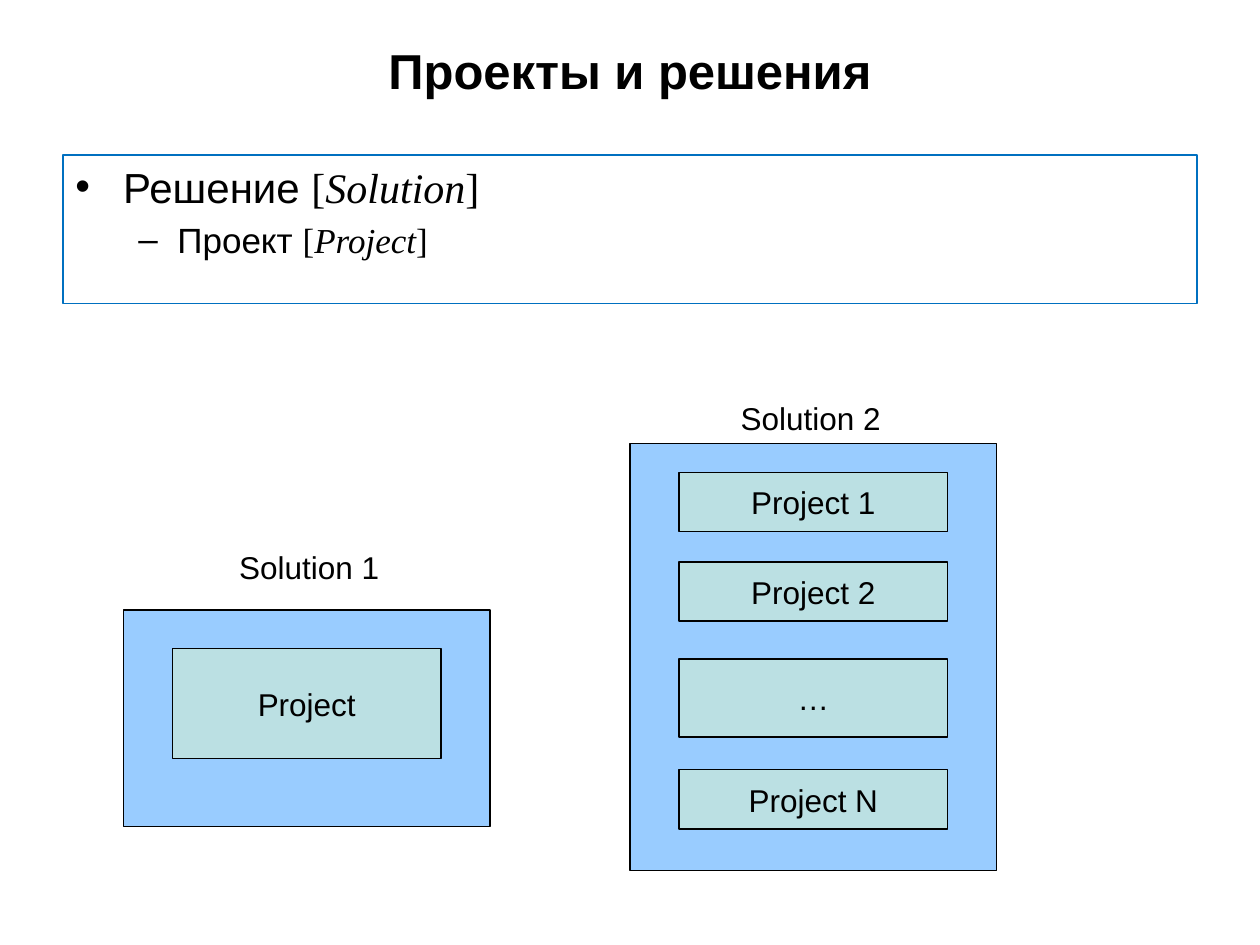
from lxml.etree import SubElement as Sub
from pptx import Presentation as Deck
from pptx.dml.color import RGBColor as Color
from pptx.enum.shapes import MSO_SHAPE as Kind
from pptx.enum.text import MSO_ANCHOR as Anchor, PP_ALIGN as Align
from pptx.oxml.ns import qn
from pptx.util import Inches, Pt

BLACK = Color(0x00, 0x00, 0x00)
BLUE = Color(0x00, 0x70, 0xC0)
SKY = Color(0x99, 0xCC, 0xFF)
TEAL = Color(0xBB, 0xE0, 0xE3)
SANS, SERIF = "Arial", "Times New Roman"


class Page:
    """Holds the text style and the slide being filled."""

    def __init__(self, slide):
        self.slide = slide
        self.size = 18

    def run(self, para, text, size=None, font=SANS, bold=False, slant=False):
        run = para.add_run()
        run.text = text
        face = run.font
        face.name, face.size = font, Pt(size or self.size)
        face.bold, face.italic = bold, slant
        face.color.rgb = BLACK

    def label(self, text, x, y, w, h, size=None, bold=False,
              align=Align.LEFT, anchor=Anchor.TOP, wrap=False):
        frame = self.slide.shapes.add_textbox(*map(Inches, (x, y, w, h))).text_frame
        frame.word_wrap = wrap
        frame.vertical_anchor = anchor
        para = frame.paragraphs[0]
        para.alignment = align
        self.run(para, text, size, bold=bold)

    def box(self, x, y, w, h, fill=None, line=BLACK, text=None):
        box = self.slide.shapes.add_shape(Kind.RECTANGLE, *map(Inches, (x, y, w, h)))
        box.shadow.inherit = False
        if fill is None:
            box.fill.background()
        else:
            box.fill.solid()
            box.fill.fore_color.rgb = fill
        box.line.color.rgb = line
        box.line.width = Pt(0.75)
        frame = box.text_frame
        if text:
            frame.word_wrap = False
            frame.vertical_anchor = Anchor.MIDDLE
            para = frame.paragraphs[0]
            para.alignment = Align.CENTER
            self.run(para, text)
        return frame

    def item(self, para, level, mark, left, hang, size, name, term):
        para.level = level
        para.alignment = Align.LEFT
        para.space_before = Pt(size * 0.2)
        props = para._p.get_or_add_pPr()
        props.set("marL", str(Inches(left)))
        props.set("indent", str(-Inches(hang)))
        Sub(props, qn("a:buFont"), typeface=SANS)
        Sub(props, qn("a:buChar"), char=mark)
        self.run(para, name + " ", size)
        for text, slant in (("[", False), (term, True), ("]", False)):
            self.run(para, text, size, SERIF, slant=slant)


def main():
    deck = Deck()
    deck.slide_width, deck.slide_height = Inches(10), Inches(7.5)
    page = Page(deck.slides.add_slide(deck.slide_layouts[6]))

    page.label("Проекты и решения", 0.5, 0.13, 9, 0.85, 28, True,
               Align.CENTER, Anchor.MIDDLE, True)

    body = page.box(0.5, 1.23, 9, 1.18, line=BLUE)
    body.word_wrap = True
    body.vertical_anchor = Anchor.TOP
    page.item(body.paragraphs[0], 0, "•", 0.38, 0.38, 24, "Решение", "Solution")
    page.item(body.add_paragraph(), 1, "–", 0.81, 0.31, 20, "Проект", "Project")

    groups = (
        ("Solution 1", 1.8, 4.3, 0.98, 4.84, 1.72, (("Project", 5.15, 0.87),)),
        ("Solution 2", 5.78, 3.12, 5, 3.52, 3.39,
         (("Project 1", 3.75, 0.47), ("Project 2", 4.46, 0.47),
          ("…", 5.23, 0.62), ("Project N", 6.11, 0.47))),
    )
    for name, tx, ty, x, y, h, parts in groups:
        page.box(x, y, 2.91, h, SKY)
        for text, top, tall in parts:
            page.box(x + 0.39, top, 2.13, tall, TEAL, text=text)
        page.label(name, tx, ty, 1.32, 0.4)

    deck.save("out.pptx")


if __name__ == "__main__":
    main()
